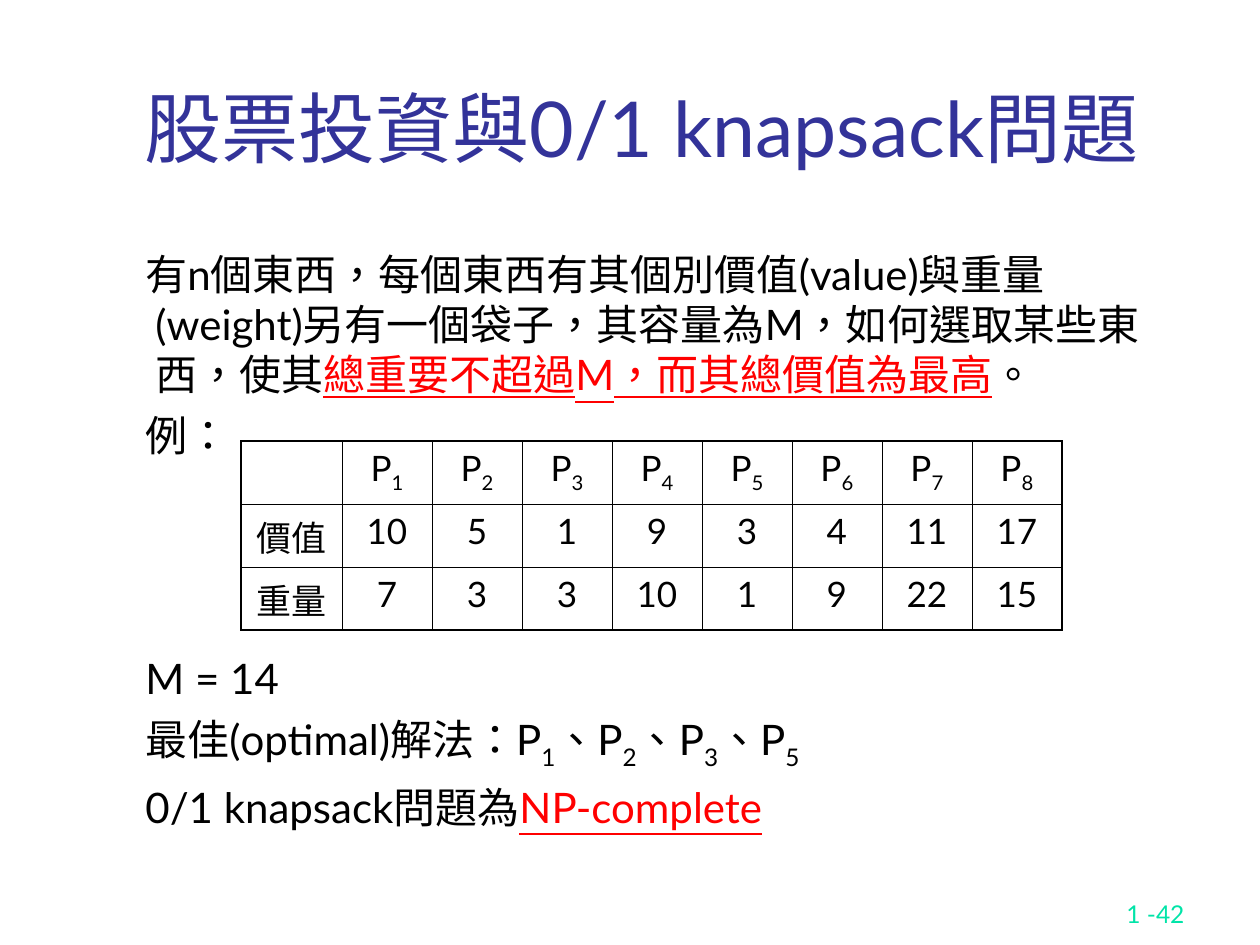
from lxml import etree
from pptx import Presentation
from pptx import util as u
from pptx.dml.color import RGBColor
from pptx.enum import lang, text
from pptx.oxml import ns

SCALE = 914400 / 126  # EMU per px
COLORS = {"title": "333399", "body": "000000", "key": "FF0000", "number": "00E4A8"}


def px(length):
    return u.Emu(round(length * SCALE))


def write(para, words, size=24, color="body", underline=False, sub=False):
    span = para.add_run()
    span.text = words
    span.font.name = "Lato"
    span.font.size = u.Pt(size)
    span.font.color.rgb = RGBColor.from_string(COLORS[color])
    span.font.language_id = lang.MSO_LANGUAGE_ID.TRADITIONAL_CHINESE
    if underline:
        span.font.underline = True
    if sub:
        span.font._element.set("baseline", "-25000")


deck = Presentation()
deck.slide_width, deck.slide_height = px(1260), px(945)
page = deck.slides.add_slide(deck.slide_layouts[6])

# Title and slide number
for area, words, size, color, align in [
    ((105, 53, 1073, 126), "股票投資與0/1 knapsack問題", 44, "title", text.PP_ALIGN.CENTER),
    ((935, 872, 262, 63), "1 -42", 14, "number", text.PP_ALIGN.RIGHT),
]:
    box = page.shapes.add_textbox(*map(px, area))
    box.text_frame.word_wrap = True
    box.text_frame.vertical_anchor = text.MSO_ANCHOR.BOTTOM
    para = box.text_frame.paragraphs[0]
    para.alignment = align
    write(para, words, size=size, color=color)

# Body: space before each paragraph (pt) and its runs
key = {"color": "key", "underline": True}
solution = [("最佳(optimal)解法：", {})]
for order, item in enumerate("1235"):
    solution += [("、P" if order else "P", {}), (item, {"sub": True})]
body = [
    (0, [("有n個東西，每個東西有其個別價值(value)與重量(weight)"
          "另有一個袋子，其容量為M，如何選取某些東西，使其", {}),
         ("總重要不超過M，而其總價值為最高", key), ("。", {})]),
    (6, [("例：", {})]),
    (110, [("M = 14", {})]),  # leaves room for the table
    (6, solution),
    (6, [("0/1 knapsack問題為", {}), ("NP-complete", key)]),
]
box = page.shapes.add_textbox(*map(px, (95, 242, 1092, 599)))
frame = box.text_frame
frame.word_wrap = True
for order, (space, spans) in enumerate(body):
    para = frame.add_paragraph() if order else frame.paragraphs[0]
    para.space_before = u.Pt(space)
    properties = para._p.get_or_add_pPr()
    properties.set("marL", str(px(48)))
    properties.set("indent", str(px(-10)))
    for words, style in spans:
        write(para, words, **style)

# Table of values and weights
rows = [
    [""] + [f"P{item}" for item in range(1, 9)],
    ["價值", 10, 5, 1, 9, 3, 4, 11, 17],
    ["重量", 7, 3, 3, 10, 1, 9, 22, 15],
]
widths = [101] + [90] * 8
row_height = 63
table = page.shapes.add_table(
    len(rows), len(widths), *map(px, (241, 441, sum(widths), row_height * len(rows)))
).table
table.first_row = table.horz_banding = False
for column, width in zip(table.columns, widths):
    column.width = px(width)
for r, row in enumerate(rows):
    table.rows[r].height = px(row_height)
    for c, value in enumerate(row):
        cell = table.cell(r, c)
        para = cell.text_frame.paragraphs[0]
        para.alignment = text.PP_ALIGN.CENTER
        if r == 0 and c:
            write(para, value[0], size=20)
            write(para, value[1], size=20, sub=True)
        elif value:
            write(para, str(value), size=20)

        # Thicker lines on the outer edge
        outer = {"lnL": c == 0, "lnR": c == len(widths) - 1,
                 "lnT": r == 0, "lnB": r == len(rows) - 1}
        borders = cell._tc.get_or_add_tcPr()
        for side, thick in outer.items():
            line = etree.SubElement(borders, ns.qn(f"a:{side}"),
                                    w=str(u.Pt(1.08 if thick else 0.45)))
            fill = etree.SubElement(line, ns.qn("a:solidFill"))
            etree.SubElement(fill, ns.qn("a:srgbClr"), val=COLORS["body"])
        cell.fill.background()

deck.save("out.pptx")
